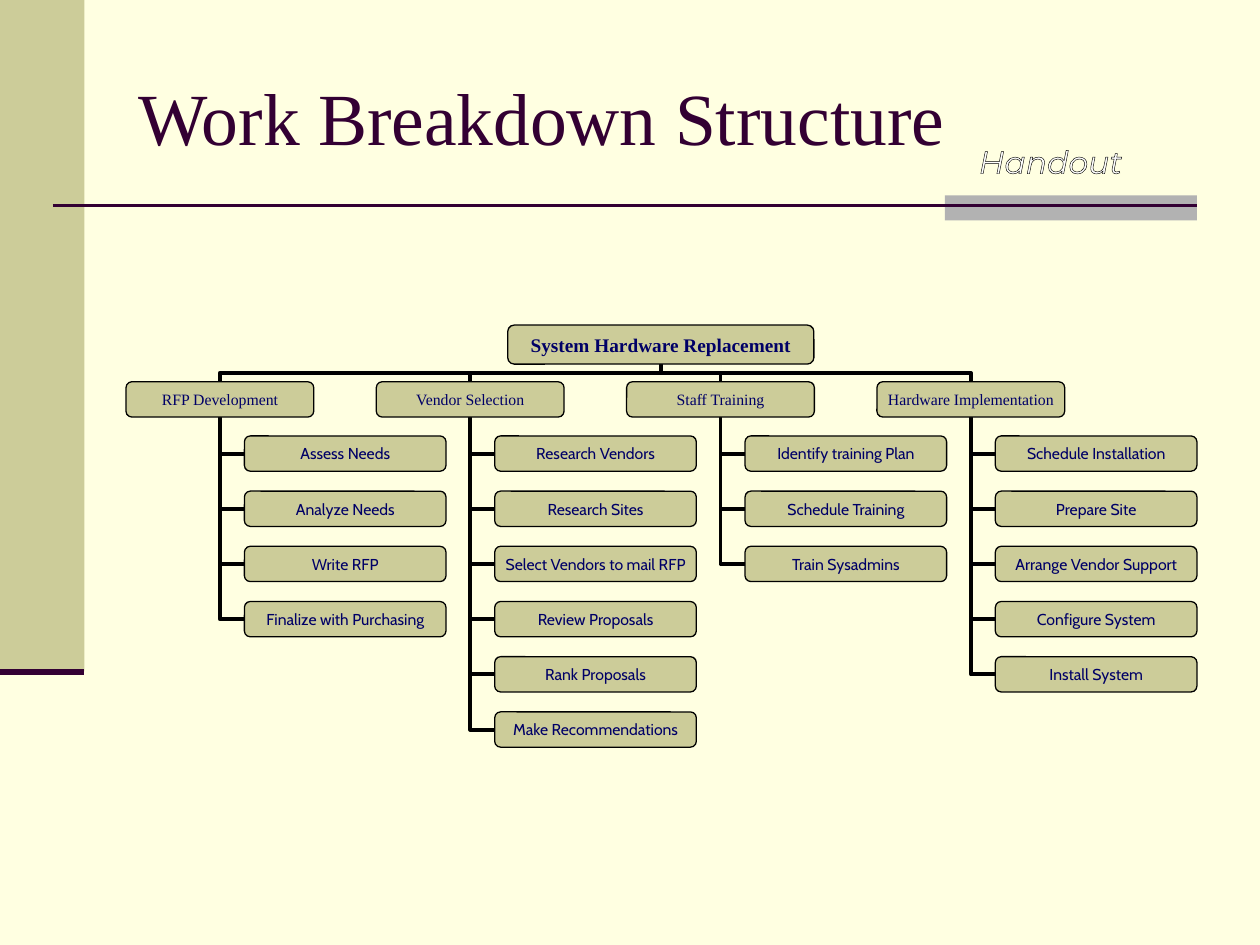
from dataclasses import dataclass

from lxml import etree
from pptx import Presentation
from pptx.dml.color import RGBColor
from pptx.enum.shapes import MSO_CONNECTOR, MSO_SHAPE
from pptx.enum.text import MSO_ANCHOR, PP_ALIGN
from pptx.oxml.ns import qn
from pptx.util import Inches, Pt

STRAIGHT, ELBOW = MSO_CONNECTOR.STRAIGHT, MSO_CONNECTOR.ELBOW
RECT, ROUNDED = MSO_SHAPE.RECTANGLE, MSO_SHAPE.ROUNDED_RECTANGLE
TOP, MIDDLE = MSO_ANCHOR.TOP, MSO_ANCHOR.MIDDLE
LEFT, CENTER = PP_ALIGN.LEFT, PP_ALIGN.CENTER

CREAM = RGBColor(0xFF, 0xFF, 0xE1)
KHAKI = RGBColor(0xCC, 0xCC, 0x99)
GRAY = RGBColor(0xB2, 0xB2, 0xB2)
PLUM = RGBColor(0x33, 0x00, 0x33)
NAVY = RGBColor(0x00, 0x00, 0x66)
BLACK = RGBColor(0x00, 0x00, 0x00)
WHITE = RGBColor(0xFF, 0xFF, 0xFF)

SERIF, SANS, DISPLAY = "Times New Roman", "Cabin", "Montserrat"

# Chart grid, in inches
PHASE_LEFT, PHASE_TOP, PHASE_WIDTH = 1.0, 3.03, 1.49
PHASE_PITCH = (6.96 - PHASE_LEFT) / 3
TASK_INDENT, TASK_TOP, TASK_WIDTH = 0.94, 3.46, 1.6
TASK_PITCH = (5.65 - TASK_TOP) / 5
BOX_HEIGHT = 0.28


@dataclass(frozen=True)
class Box:
    left: float
    top: float
    width: float
    height: float

    @property
    def center(self) -> float:
        return self.left + self.width / 2

    @property
    def middle(self) -> float:
        return self.top + self.height / 2

    @property
    def bottom(self) -> float:
        return self.top + self.height

    def lengths(self) -> list:
        return [Inches(v) for v in (self.left, self.top, self.width, self.height)]


@dataclass(frozen=True)
class Phase:
    name: str
    tasks: tuple[str, ...]


PROJECT = "System Hardware Replacement"
PROJECT_BOX = Box(4.03, 2.58, 2.43, 0.31)
PHASES = (
    Phase("RFP Development",
          ("Assess Needs", "Analyze Needs", "Write RFP", "Finalize with Purchasing")),
    Phase("Vendor Selection",
          ("Research Vendors", "Research Sites", "Select Vendors to mail RFP",
           "Review Proposals", "Rank Proposals", "Make Recommendations")),
    Phase("Staff Training",
          ("Identify training Plan", "Schedule Training", "Train Sysadmins")),
    Phase("Hardware Implementation",
          ("Schedule Installation", "Prepare Site", "Arrange Vendor Support",
           "Configure System", "Install System")),
)


def write_text(shape, text: str, *, size: float, font: str, color: RGBColor,
               bold: bool = False, italic: bool = False, align=LEFT, anchor=MIDDLE,
               wrap: bool = False, inset: tuple[float, float] = (0.1, 0.05)):
    frame = shape.text_frame
    frame.word_wrap = wrap
    frame.vertical_anchor = anchor
    frame.margin_left = frame.margin_right = Inches(inset[0])
    frame.margin_top = frame.margin_bottom = Inches(inset[1])
    paragraph = frame.paragraphs[0]
    paragraph.alignment = align
    run = paragraph.add_run()
    run.text = text
    run.font.size, run.font.name = Pt(size), font
    run.font.bold, run.font.italic = bold, italic
    run.font.color.rgb = color
    return run


def outline_text(run, color: RGBColor, width: float) -> None:
    line = etree.Element(qn("a:ln"), w=str(Pt(width)))
    fill = etree.SubElement(line, qn("a:solidFill"))
    etree.SubElement(fill, qn("a:srgbClr"), val=str(color))
    run.font._element.insert(0, line)


def add_panel(slide, box: Box, fill: RGBColor, preset=RECT):
    panel = slide.shapes.add_shape(preset, *box.lengths())
    panel.shadow.inherit = False
    panel.fill.solid()
    panel.fill.fore_color.rgb = fill
    panel.line.fill.background()
    return panel


def add_node(slide, box: Box, text: str, *, size: float = 9, font: str = SERIF,
             bold: bool = False) -> None:
    node = add_panel(slide, box, KHAKI, ROUNDED)
    node.line.color.rgb = BLACK
    node.line.width = Pt(0.75)
    write_text(node, text, size=size, font=font, color=NAVY, bold=bold,
               align=CENTER, inset=(0.03, 0.01))


def add_line(slide, box: Box, color: RGBColor, width: float, kind=STRAIGHT):
    left, top, across, down = box.lengths()
    line = slide.shapes.add_connector(kind, left, top, left + across, top + down)
    line.line.color.rgb = color
    line.line.width = Pt(width)
    etree.SubElement(line._element.spPr, qn("a:effectLst"))
    return line


def add_elbow(slide, box: Box, preset: str, **transform: str) -> None:
    elbow = add_line(slide, box, BLACK, 2.25, ELBOW)
    properties = elbow._element.spPr
    properties.find(qn("a:prstGeom")).set("prst", preset)
    for name, value in transform.items():
        properties.find(qn("a:xfrm")).set(name, value)


def link_task(slide, phase: Box, task: Box) -> None:
    bend = Box(phase.center, phase.bottom, task.left - phase.center,
               task.middle - phase.bottom)
    add_elbow(slide, bend, "bentConnector2", rot="10800000")


def link_phase(slide, project: Box, phase: Box) -> None:
    # The box is turned a quarter, so its width is the vertical gap
    rise, reach = phase.top - project.bottom, abs(phase.center - project.center)
    bend = Box((phase.center + project.center - rise) / 2,
               (phase.top + project.bottom - reach) / 2, rise, reach)
    if phase.center > project.center:
        add_elbow(slide, bend, "bentConnector3", rot="16200000", flipV="1")
    else:
        add_elbow(slide, bend, "bentConnector3", rot="5400000", flipH="1", flipV="1")


def phase_box(column: int) -> Box:
    return Box(PHASE_LEFT + column * PHASE_PITCH, PHASE_TOP, PHASE_WIDTH, BOX_HEIGHT)


def task_box(column: int, row: int) -> Box:
    return Box(phase_box(column).left + TASK_INDENT, TASK_TOP + row * TASK_PITCH,
               TASK_WIDTH, BOX_HEIGHT)


def draw_breakdown(slide) -> None:
    # Links lie behind the nodes
    for column, phase in enumerate(PHASES):
        for row in range(len(phase.tasks)):
            link_task(slide, phase_box(column), task_box(column, row))
        link_phase(slide, PROJECT_BOX, phase_box(column))

    add_node(slide, PROJECT_BOX, PROJECT, size=11, bold=True)
    for column, phase in enumerate(PHASES):
        add_node(slide, phase_box(column), phase.name)
        for row, task in enumerate(phase.tasks):
            add_node(slide, task_box(column, row), task, font=SANS)


def main() -> None:
    deck = Presentation()
    deck.slide_width, deck.slide_height = Inches(10), Inches(7.5)
    slide = deck.slides.add_slide(deck.slide_layouts[6])
    slide.background.fill.solid()
    slide.background.fill.fore_color.rgb = CREAM

    # Side band and title rule
    add_panel(slide, Box(0, 0, 0.67, 5.33), KHAKI)
    add_panel(slide, Box(7.5, 1.55, 2, 0.2), GRAY)
    add_line(slide, Box(0.42, 1.63, 9.08, 0), PLUM, 1.5)
    add_line(slide, Box(0, 5.33, 0.67, 0), PLUM, 3.5)

    # Title
    title = slide.shapes.add_textbox(*Box(1, 0.3, 8.5, 1.25).lengths())
    write_text(title, "Work Breakdown Structure", size=42, font=SERIF, color=PLUM,
               wrap=True)

    draw_breakdown(slide)

    # Handout tag
    handout = slide.shapes.add_textbox(*Box(7.67, 1.08, 1.55, 0.29).lengths())
    tag = write_text(handout, "Handout", size=18, font=DISPLAY, color=WHITE,
                     italic=True, anchor=TOP)
    outline_text(tag, BLACK, 0.75)

    deck.save("out.pptx")


if __name__ == "__main__":
    main()
